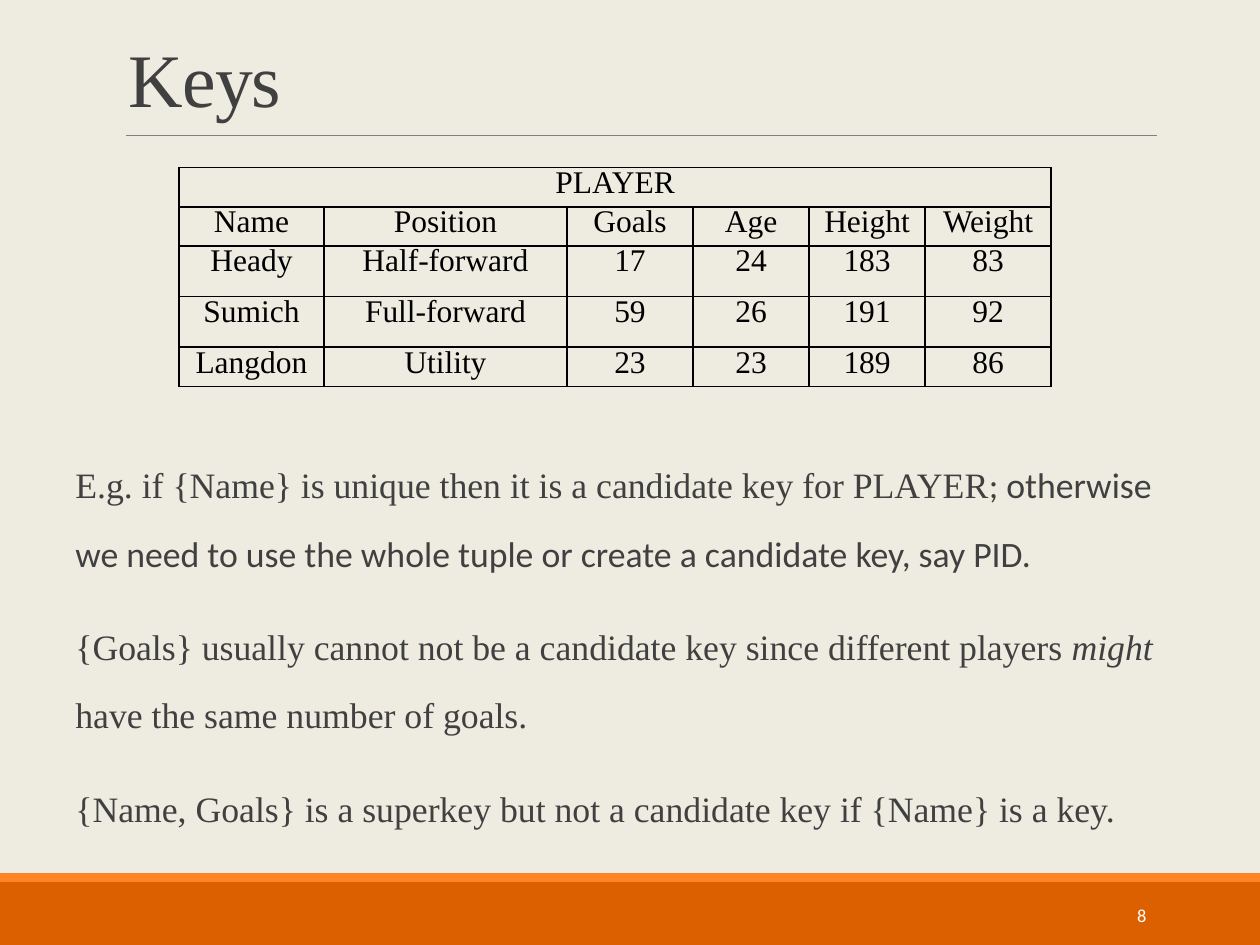
from lxml.etree import SubElement
from pptx import Presentation
from pptx.dml.color import RGBColor
from pptx.enum.shapes import MSO_CONNECTOR, MSO_SHAPE
from pptx.enum.text import MSO_ANCHOR, MSO_AUTO_SIZE, PP_ALIGN
from pptx.oxml.ns import qn
from pptx.util import Cm, Pt

CREAM = RGBColor(0xEE, 0xEC, 0xE1)
DARK_ORANGE = RGBColor(0xDC, 0x5F, 0x00)
ORANGE = RGBColor(0xFF, 0x84, 0x27)
RED_ORANGE = RGBColor(0xE8, 0x4C, 0x22)
GRAY = RGBColor(0x80, 0x80, 0x80)
CHARCOAL = RGBColor(0x40, 0x40, 0x40)
BLACK = RGBColor(0, 0, 0)
WHITE = RGBColor(0xFF, 0xFF, 0xFF)
SERIF = "Times New Roman"
SANS = "Calibri"

PLAYER_ROWS = [
    ["Name", "Position", "Goals", "Age", "Height", "Weight"],
    ["Heady", "Half-forward", "17", "24", "183", "83"],
    ["Sumich", "Full-forward", "59", "26", "191", "92"],
    ["Langdon", "Utility", "23", "23", "189", "86"],
]
COLUMN_WIDTHS = [2.92, 4.9, 2.54, 2.34, 2.34, 2.54]
ROW_HEIGHTS = [0.79, 0.79, 1.02, 1.02, 0.79]

# Each paragraph is a list of (text, font, italic)
KEY_RULES = [
    [("E.g. if {Name} is unique then it is a candidate key for PLAYER", SERIF, False),
     ("; otherwise we need to use the whole tuple or create a candidate key, say PID.",
      SANS, False)],
    [("{Goals} usually cannot not be a candidate key since different players ", SERIF, False),
     ("might", SERIF, True),
     (" have the same number of goals.", SERIF, False)],
    [("{Name, Goals} is a superkey but not a candidate key if {Name} is a key.",
      SERIF, False)],
]


class SlideBuilder:
    """Holds the current slide and draws each kind of element in its style."""

    def __init__(self, slide):
        self.slide = slide
        self.slide.background.fill.solid()
        self.slide.background.fill.fore_color.rgb = CREAM

    def place(self, shape, left, top, width, height):
        shape.left, shape.top = Cm(left), Cm(top)
        shape.width, shape.height = Cm(width), Cm(height)

    def add_run(self, paragraph, text, size, color, font=SERIF, italic=False):
        run = paragraph.add_run()
        run.text = text
        run.font.name = font
        run.font.size = Pt(size)
        run.font.italic = italic
        run.font.color.rgb = color
        return run

    def band(self, top, height, color):
        strip = self.slide.shapes.add_shape(
            MSO_SHAPE.RECTANGLE, 0, Cm(top), Cm(25.4), Cm(height))
        strip.shadow.inherit = False
        strip.fill.solid()
        strip.fill.fore_color.rgb = color
        strip.line.fill.background()

    def rule(self, left, right, y):
        divider = self.slide.shapes.add_connector(
            MSO_CONNECTOR.STRAIGHT, Cm(left), Cm(y), Cm(right), Cm(y))
        divider.line.color.rgb = GRAY
        divider.line.width = Pt(0.5)
        SubElement(divider._element.spPr, qn("a:effectLst"))

    def title(self, text, *box):
        heading = self.slide.shapes.title
        self.place(heading, *box)
        frame = heading.text_frame
        frame.auto_size = MSO_AUTO_SIZE.NONE
        frame.vertical_anchor = MSO_ANCHOR.BOTTOM
        paragraph = frame.paragraphs[0]
        paragraph.alignment = PP_ALIGN.LEFT
        paragraph.line_spacing = 0.85
        run = self.add_run(paragraph, text, 43.2, CHARCOAL)
        run.font._element.set("spc", "-50")

    def body(self, paragraphs, *box):
        rules = self.slide.placeholders[1]
        self.place(rules, *box)
        frame = rules.text_frame
        frame.auto_size = MSO_AUTO_SIZE.NONE
        frame.margin_left = frame.margin_right = 0
        for index, runs in enumerate(paragraphs):
            paragraph = frame.add_paragraph() if index else frame.paragraphs[0]
            paragraph.line_spacing = 1.6
            paragraph.space_before = Pt(12)
            paragraph.space_after = Pt(2)
            self.blank_bullet(paragraph)
            for text, font, italic in runs:
                self.add_run(paragraph, text, 20.4, CHARCOAL, font, italic)

    def blank_bullet(self, paragraph):
        properties = paragraph._p.get_or_add_pPr()
        properties.set("marL", str(Cm(0.25)))
        properties.set("indent", str(-Cm(0.25)))
        bullet_color = SubElement(properties, qn("a:buClr"))
        SubElement(bullet_color, qn("a:srgbClr"), val=str(RED_ORANGE))
        SubElement(properties, qn("a:buChar"), char=" ")

    def table(self, heading, rows, left, top):
        grid = self.slide.shapes.add_table(
            len(ROW_HEIGHTS), len(COLUMN_WIDTHS), Cm(left), Cm(top),
            Cm(sum(COLUMN_WIDTHS)), Cm(sum(ROW_HEIGHTS))).table
        grid.first_row = grid.horz_banding = False
        for column, width in zip(grid.columns, COLUMN_WIDTHS):
            column.width = Cm(width)
        for row, height in zip(grid.rows, ROW_HEIGHTS):
            row.height = Cm(height)
        grid.cell(0, 0).merge(grid.cell(0, len(COLUMN_WIDTHS) - 1))
        for cell in grid.iter_cells():
            self.cell_borders(cell)
            cell.fill.background()
        self.cell_text(grid.cell(0, 0), heading)
        for row_index, values in enumerate(rows, start=1):
            for column_index, value in enumerate(values):
                self.cell_text(grid.cell(row_index, column_index), value)

    def cell_text(self, cell, text):
        paragraph = cell.text_frame.paragraphs[0]
        paragraph.alignment = PP_ALIGN.CENTER
        paragraph.line_spacing = Pt(15)
        self.add_run(paragraph, text, 18, BLACK)

    def cell_borders(self, cell):
        properties = cell._tc.get_or_add_tcPr()
        for side in ("a:lnL", "a:lnR", "a:lnT", "a:lnB"):
            border = SubElement(properties, qn(side), w=str(Pt(1)))
            fill = SubElement(border, qn("a:solidFill"))
            SubElement(fill, qn("a:srgbClr"), val=str(BLACK))

    def page_number(self, text, *box):
        number = self.slide.shapes.add_textbox(*map(Cm, box))
        frame = number.text_frame
        frame.word_wrap = True
        frame.vertical_anchor = MSO_ANCHOR.MIDDLE
        frame.paragraphs[0].alignment = PP_ALIGN.RIGHT
        self.add_run(frame.paragraphs[0], text, 10.5, WHITE, SANS)


def main():
    deck = Presentation()
    deck.slide_width, deck.slide_height = Cm(25.4), Cm(19.05)
    keys = SlideBuilder(deck.slides.add_slide(deck.slide_layouts[1]))

    # Footer bands and the rule under the title
    keys.band(17.78, 1.27, DARK_ORANGE)
    keys.band(17.6, 0.18, ORANGE)
    keys.rule(2.54, 23.32, 2.74)

    # Title, player table and explanation
    keys.title("Keys", 2.34, 0.64, 24.33, 1.96)
    keys.table("PLAYER", PLAYER_ROWS, 3.61, 3.38)
    keys.body(KEY_RULES, 1.27, 8.69, 22.86, 8.46)

    # Page number
    keys.page_number("8", 20.62, 17.93, 2.74, 1.02)

    deck.save("out.pptx")


if __name__ == "__main__":
    main()
